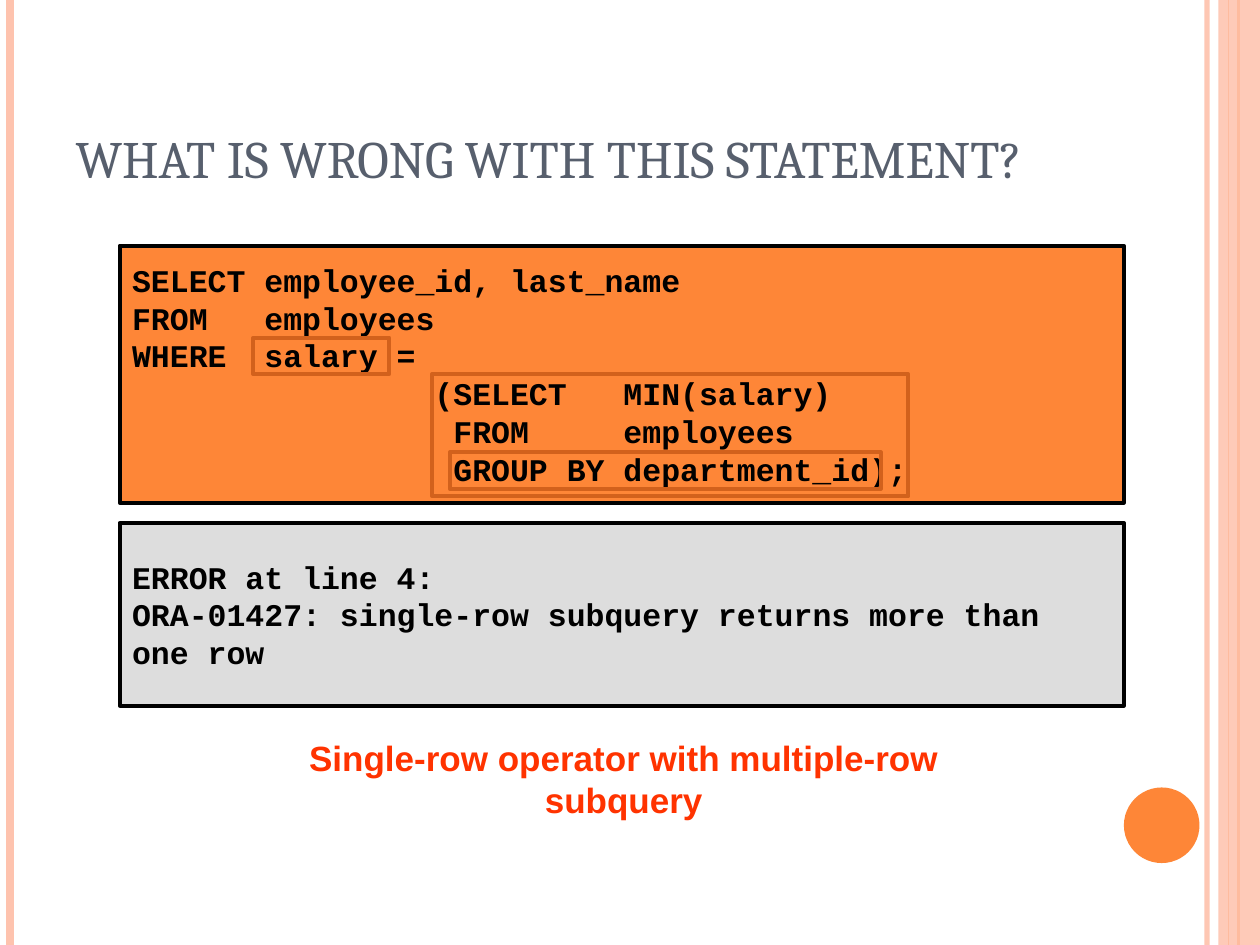
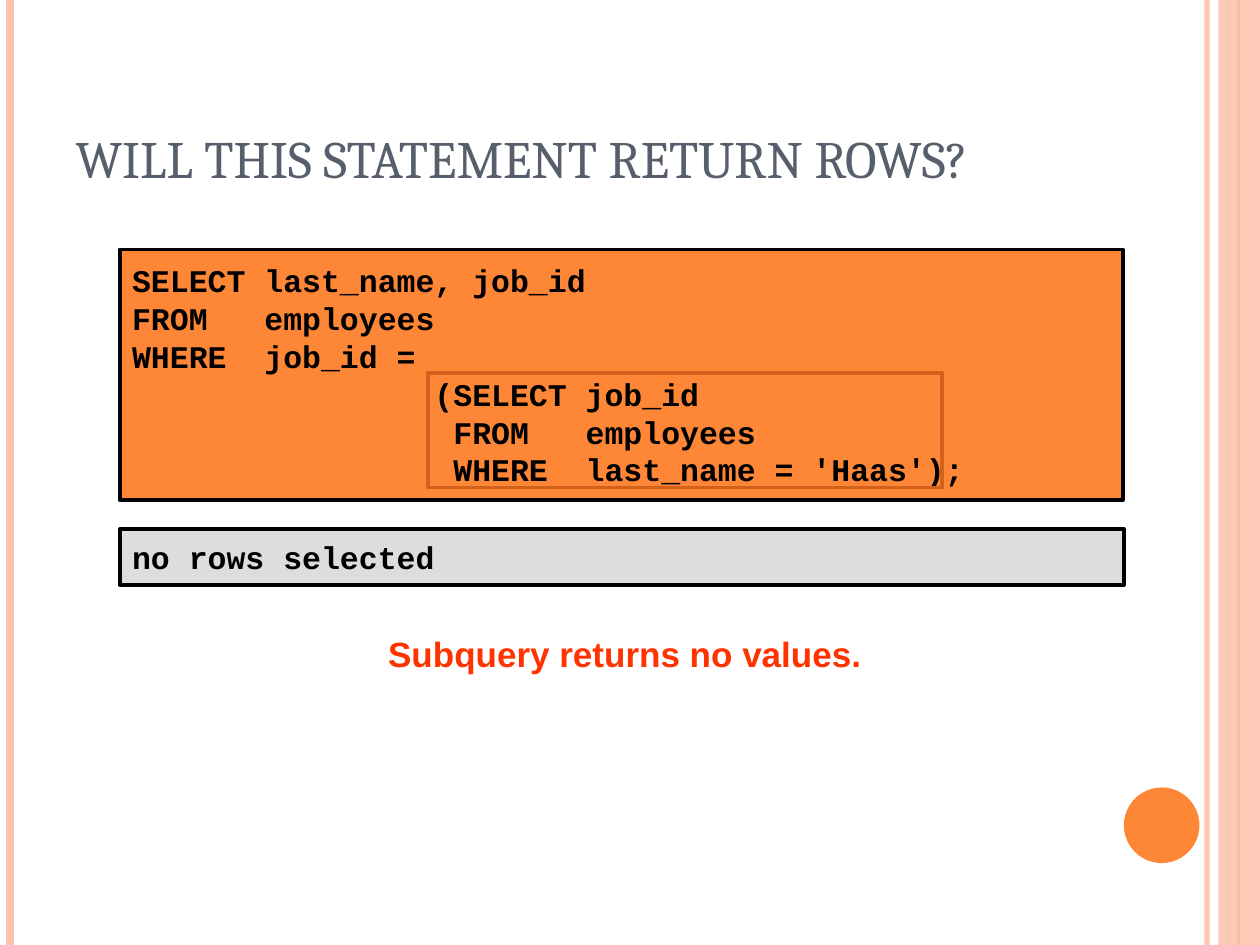
"""Two slides on subquery errors: SQL statement, its result and the reason."""
from lxml.etree import SubElement
from pptx import Presentation
from pptx.dml.color import RGBColor
from pptx.enum.shapes import MSO_CONNECTOR as Line, MSO_SHAPE as Shape
from pptx.enum.text import MSO_ANCHOR as Anchor, MSO_AUTO_SIZE as AutoSize, PP_ALIGN as Align
from pptx.oxml.ns import qn
from pptx.util import Inches, Pt

ORANGE, PEACH, RUST, RED = "FE8637", "FEC3AE", "D2611C", "FF3300"
BLACK, GREY, SLATE = "000000", "DDDDDD", "575F6D"
CHAR = 0.15

deck = Presentation()
deck.slide_width, deck.slide_height = Inches(10), Inches(7.5)
COL, ROW = deck.slide_width / 100, deck.slide_height / 75


def paint(fill, colour):
    """Make a fill solid in the given hex colour."""
    fill.solid()
    fill.fore_color.rgb = RGBColor.from_string(colour)


def write(para, text, font, size, colour, bold=True):
    """Add one formatted run to a paragraph."""
    span = para.add_run()
    span.text = text
    span.font.name, span.font.size, span.font.bold = font, Pt(size), bold
    paint(span.font.fill, colour)


STRIPES = [(95.8, PEACH, 3, 93), (0.8, PEACH, 4.5, 100),
           (98.3, ORANGE, 1.5, 100), (97.5, ORANGE, 0.75, 100)]
DECORATIONS = [(Shape.RECTANGLE, (96.7, 0, 3.3, 75), PEACH, 87),
               (Shape.OVAL, (89.2, 62.5, 6, 6), ORANGE, 100)]

# Each code line is its tab stops, counted in characters, and its text.
PAGES = [
    {"title": "WHAT IS WRONG WITH THIS STATEMENT?",
     "panels": [
         (ORANGE, (9.5, 19.5, 79.7, 20.4), [
             ([7], "SELECT\temployee_id, last_name"),
             ([7], "FROM\temployees"),
             ([7], "WHERE\tsalary ="),
             ([16, 26], "\t(SELECT\tMIN(salary)"),
             ([17, 26], "\tFROM\temployees"),
             ([17, 26], "\tGROUP BY\tdepartment_id);")]),
         (GREY, (9.5, 41.5, 79.7, 14.5), [
             ([], "ERROR at line 4:"),
             ([], "ORA-01427: single-row subquery returns more than\none row")])],
     "frames": [(34.3, 29.7, 37.8, 9.7), (20.1, 26.8, 10.8, 2.9),
                (35.7, 35.9, 34.2, 2.9)],
     "reason": ("Single-row operator with multiple-row subquery",
                (16.9, 58, 65.2, 4.4))},
    {"title": "WILL THIS STATEMENT RETURN ROWS?",
     "panels": [
         (ORANGE, (9.5, 19.8, 79.6, 19.9), [
             ([7], "SELECT\tlast_name, job_id"),
             ([7], "FROM\temployees"),
             ([7], "WHERE\tjob_id ="),
             ([16, 24], "\t(SELECT\tjob_id"),
             ([17, 24], "\tFROM\temployees"),
             ([17, 24], "\tWHERE\tlast_name = 'Haas');")]),
         (GREY, (9.5, 42, 79.7, 4.4), [([], "no rows selected")])],
     "frames": [(34, 29.6, 40.8, 9.1)],
     "reason": ("Subquery returns no values.", (29.8, 49.7, 39.6, 4.4))},
]

for content in PAGES:
    page = deck.slides.add_slide(deck.slide_layouts[5])

    for column, colour, weight, opacity in STRIPES:
        x = int(column * COL)
        stripe = page.shapes.add_connector(Line.STRAIGHT, x, 0, x, deck.slide_height)
        stripe.line.width = Pt(weight)
        paint(stripe.line.fill, colour)
        properties = stripe._element.spPr
        SubElement(properties, qn("a:effectLst"))
        SubElement(properties.find(".//" + qn("a:srgbClr")), qn("a:alpha"),
                   val=str(opacity * 1000))

    for kind, (x, y, w, h), colour, opacity in DECORATIONS:
        band = page.shapes.add_shape(kind, int(x * COL), int(y * ROW), int(w * COL), int(h * ROW))
        band.shadow.inherit = False
        band.line.fill.background()
        paint(band.fill, colour)
        SubElement(band._element.spPr.find(".//" + qn("a:srgbClr")), qn("a:alpha"),
                   val=str(opacity * 1000))

    title = page.shapes.title
    title.left, title.top = int(5 * COL), int(3 * ROW)
    title.width, title.height = int(81.7 * COL), int(12.5 * ROW)
    title.text_frame.auto_size = AutoSize.NONE
    title.text_frame.vertical_anchor = Anchor.BOTTOM
    para = title.text_frame.paragraphs[0]
    para.alignment = Align.LEFT
    write(para, content["title"], "Cambria", 30, SLATE, bold=False)

    for colour, (x, y, w, h), lines in content["panels"]:
        panel = page.shapes.add_shape(
            Shape.RECTANGLE, int(x * COL), int(y * ROW), int(w * COL), int(h * ROW))
        panel.shadow.inherit = False
        paint(panel.fill, colour)
        paint(panel.line.fill, BLACK)
        panel.line.width = Pt(2.25)
        frame = panel.text_frame
        frame.word_wrap = True
        frame.vertical_anchor = Anchor.MIDDLE
        for index, (stops, text) in enumerate(lines):
            para = frame.add_paragraph() if index else frame.paragraphs[0]
            para.alignment = Align.LEFT
            if stops:
                tabs = SubElement(para._p.get_or_add_pPr(), qn("a:tabLst"))
                for stop in stops:
                    SubElement(tabs, qn("a:tab"), pos=str(Inches(stop * CHAR)), algn="l")
            for part, piece in enumerate(text.split("\n")):
                if part:
                    para.add_line_break()
                write(para, piece, "Courier New", 18, BLACK)

    for x, y, w, h in content["frames"]:
        marker = page.shapes.add_shape(
            Shape.RECTANGLE, int(x * COL), int(y * ROW), int(w * COL), int(h * ROW))
        marker.shadow.inherit = False
        marker.fill.background()
        paint(marker.line.fill, RUST)
        marker.line.width = Pt(2.25)

    reason, (x, y, w, h) = content["reason"]
    box = page.shapes.add_textbox(int(x * COL), int(y * ROW), int(w * COL), int(h * ROW))
    box.text_frame.word_wrap = False
    box.text_frame.auto_size = AutoSize.SHAPE_TO_FIT_TEXT
    para = box.text_frame.paragraphs[0]
    para.alignment = Align.CENTER
    para.space_before = Pt(5)
    write(para, reason, "Arial", 20, RED)

deck.save("out.pptx")
